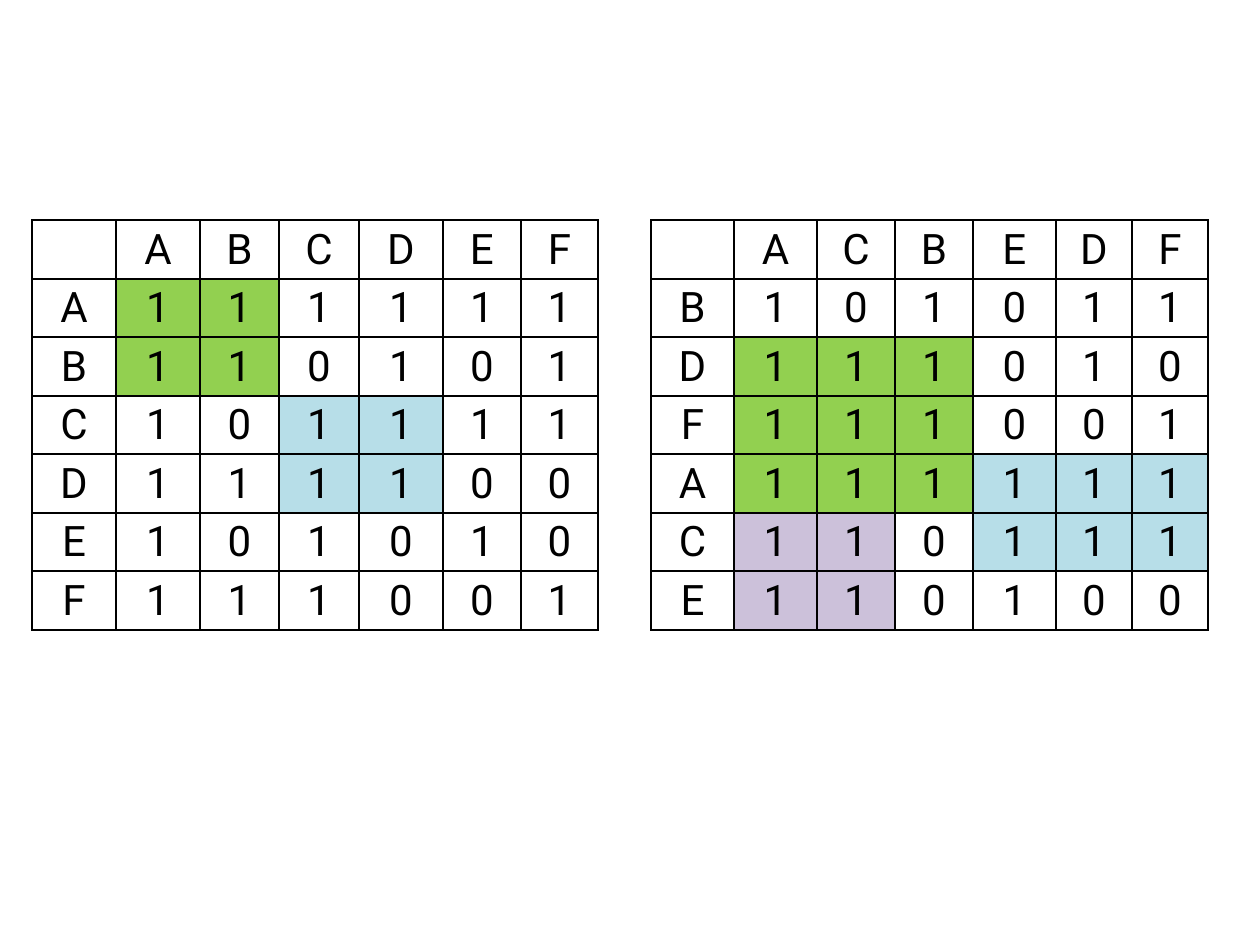
"""Build a slide with two binary matrices whose blocks of ones are highlighted."""
from dataclasses import dataclass
from typing import Any

from lxml.etree import SubElement
from pptx import Presentation
from pptx.dml.color import RGBColor
from pptx.enum.text import MSO_ANCHOR as Anchor, PP_ALIGN as Align
from pptx.oxml.ns import qn
from pptx.util import Emu, Pt

PIXEL = 914400 // 126
FONT = "Roboto"
BLACK, GREEN, BLUE, PURPLE = "000000", "92D050", "B7DEE8", "CCC1DA"
ROW_HEIGHTS = (59, 58, 59, 58, 59, 58, 59)
MATRIX_TOP = 220


@dataclass(frozen=True)
class Block:
    color: str
    rows: range
    columns: range


@dataclass(frozen=True)
class Matrix:
    left: int
    column_widths: tuple[int, ...]
    column_labels: str
    row_labels: str
    values: tuple[str, ...]
    blocks: tuple[Block, ...]


MATRICES = (
    Matrix(
        32, (84, 84, 79, 80, 84, 78, 77), "ABCDEF", "ABCDEF",
        ("111111", "110101", "101111", "111100", "101010", "111001"),
        (Block(GREEN, range(1, 3), range(1, 3)),
         Block(BLUE, range(3, 5), range(3, 5))),
    ),
    Matrix(
        651, (83, 83, 78, 78, 83, 76, 76), "ACBEDF", "BDFACE",
        ("101011", "111010", "111001", "111111", "110111", "110100"),
        (Block(GREEN, range(2, 5), range(1, 4)),
         Block(BLUE, range(4, 6), range(4, 7)),
         Block(PURPLE, range(5, 7), range(1, 3))),
    ),
)


def px(length: int) -> Emu:
    return Emu(length * PIXEL)


def rgb(color: str) -> RGBColor:
    return RGBColor.from_string(color)


def add_borders(cell: Any) -> None:
    properties = cell._tc.get_or_add_tcPr()
    for side in ("a:lnL", "a:lnR", "a:lnT", "a:lnB"):
        border = SubElement(properties, qn(side), w=str(Pt(1)))
        fill = SubElement(border, qn("a:solidFill"))
        SubElement(fill, qn("a:srgbClr"), val=BLACK)


def format_cell(cell: Any, text: str, color: str | None) -> None:
    cell.margin_left = cell.margin_right = cell.margin_top = px(1)
    cell.margin_bottom = 0
    cell.vertical_anchor = Anchor.MIDDLE
    add_borders(cell)
    if color:
        cell.fill.solid()
        cell.fill.fore_color.rgb = rgb(color)
    else:
        cell.fill.background()
    if text.strip():
        cell.text_frame.text = text
        paragraph = cell.text_frame.paragraphs[0]
        paragraph.alignment = Align.CENTER
        font = paragraph.runs[0].font
        font.name, font.size = FONT, Pt(24)
        font.color.rgb = rgb(BLACK)


def block_color(matrix: Matrix, row: int, column: int) -> str | None:
    return next((block.color for block in matrix.blocks
                 if row in block.rows and column in block.columns), None)


def add_matrix(slide: Any, matrix: Matrix) -> None:
    lines = [" " + matrix.column_labels]
    lines += [label + line for label, line in zip(matrix.row_labels, matrix.values)]
    table = slide.shapes.add_table(
        len(lines), len(lines[0]), px(matrix.left), px(MATRIX_TOP),
        px(sum(matrix.column_widths)), px(sum(ROW_HEIGHTS))).table
    table.first_row = table.horz_banding = False
    for column, width in zip(table.columns, matrix.column_widths):
        column.width = px(width)
    for row, height in zip(table.rows, ROW_HEIGHTS):
        row.height = px(height)
    for r, line in enumerate(lines):
        for c, text in enumerate(line):
            format_cell(table.cell(r, c), text, block_color(matrix, r, c))


def main() -> None:
    deck = Presentation()
    deck.slide_width, deck.slide_height = px(1260), px(945)
    slide = deck.slides.add_slide(deck.slide_layouts[6])
    for matrix in MATRICES:
        add_matrix(slide, matrix)
    deck.save("out.pptx")


main()
